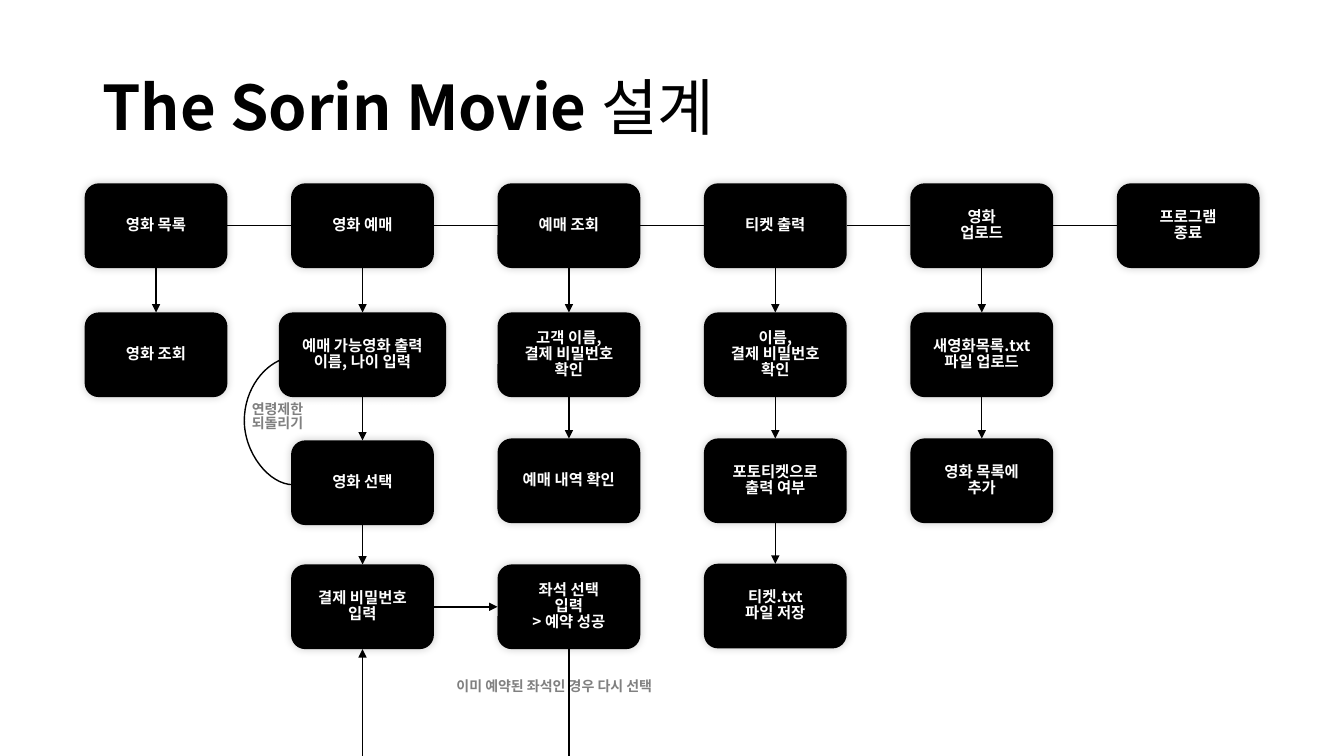
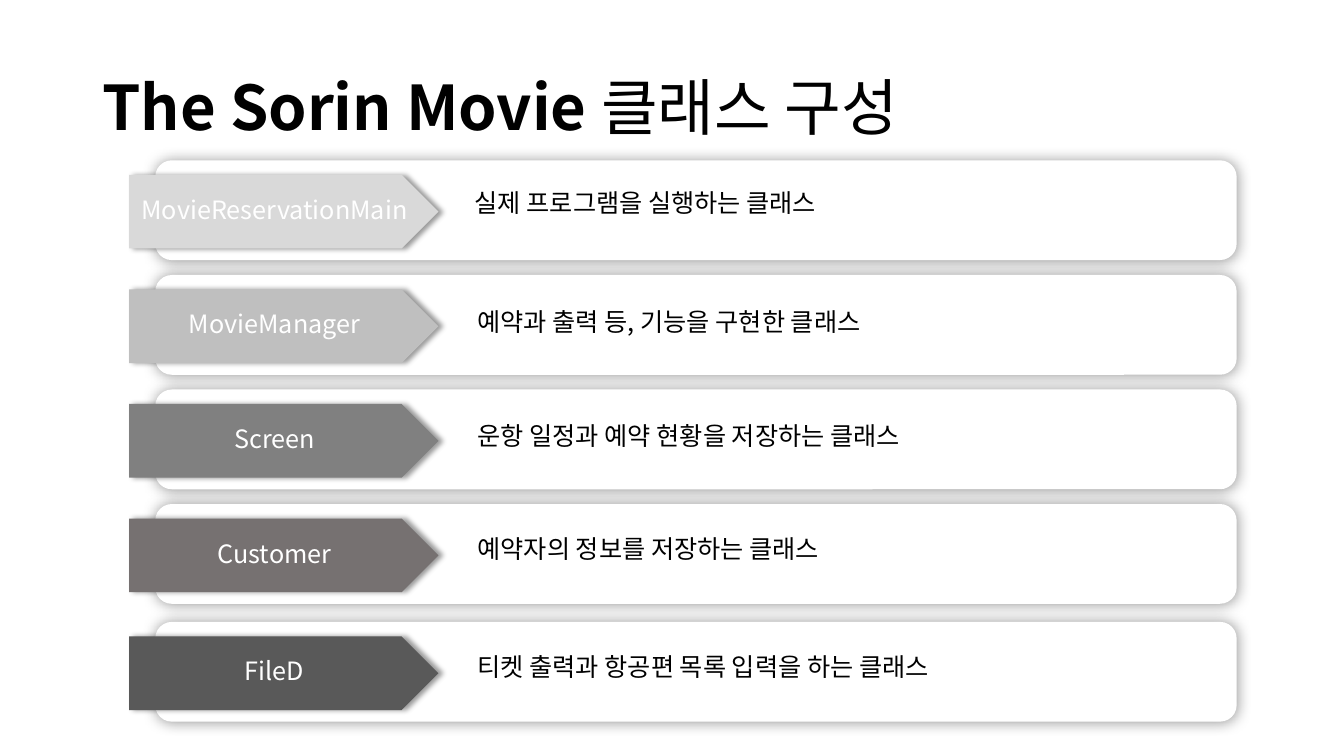
from dataclasses import dataclass

from lxml.etree import SubElement
from pptx import Presentation
from pptx.dml.color import RGBColor
from pptx.enum.shapes import MSO_CONNECTOR, MSO_SHAPE
from pptx.enum.text import MSO_ANCHOR, PP_ALIGN
from pptx.oxml.ns import qn
from pptx.util import Pt

FLOW = MSO_SHAPE.FLOWCHART_ALTERNATE_PROCESS
ROUND = MSO_SHAPE.ROUNDED_RECTANGLE
ARROW = MSO_SHAPE.PENTAGON
LINE = MSO_CONNECTOR.STRAIGHT
CURVE = MSO_CONNECTOR.CURVE
LEFT = PP_ALIGN.LEFT
CENTER = PP_ALIGN.CENTER
MIDDLE = MSO_ANCHOR.MIDDLE
TOP = MSO_ANCHOR.TOP

FONT = "Noto Sans CJK KR"
BLACK = "000000"
WHITE = "FFFFFF"
GRAY = "808080"
BRAND = "The Sorin Movie"
WIDTH, HEIGHT = 960, 540
BOX_W, BOX_H = 102, 60.5
BOX_X, PITCH = 60.5, 147.45
SITE_TOP, SITE_LEFT, SITE_END, SITE_RIGHT = range(4)


@dataclass
class Style:
    size: float
    color: str
    bold: bool = False
    align: PP_ALIGN = LEFT
    space: float = 0.85


@dataclass
class Shade:
    alpha: int
    blur: float
    dist: float = 0
    angle: int = 0


@dataclass
class Box:
    top: float
    text: str
    width: float = BOX_W


@dataclass
class Row:
    top: float
    name: str
    fill: str
    note: str
    left: float
    drop: float


TITLE = Style(44, BLACK, True, space=0.9)
NODE = Style(11, WHITE, True, CENTER)
LABEL = Style(10, GRAY, True)
NAME = Style(18, WHITE, align=CENTER)
NOTE = Style(18, BLACK)

SOFT = Shade(20, 6, angle=315)
GLOW = Shade(40, 10)
CAST = Shade(40, 4, 3)

COLUMNS = [
    [Box(131, "영화 목록"), Box(223.2, "영화 조회")],
    [
        Box(131, "영화 예매"),
        Box(223.2, "예매 가능영화 출력\n이름, 나이 입력", 119.5),
        Box(314.6, "영화 선택"),
        Box(403.2, "결제 비밀번호\n입력"),
    ],
    [
        Box(131, "예매 조회"),
        Box(223.2, "고객 이름,\n결제 비밀번호\n확인"),
        Box(313.2, "예매 내역 확인"),
    ],
    [
        Box(131, "티켓 출력"),
        Box(223.2, "이름,\n결제 비밀번호\n확인"),
        Box(313.2, "포토티켓으로\n출력 여부"),
        Box(402.7, "티켓.txt\n파일 저장"),
    ],
    [
        Box(131, "영화\n업로드"),
        Box(223.2, "새영화목록.txt\n파일 업로드"),
        Box(313.2, "영화 목록에\n추가"),
    ],
    [Box(131, "프로그램\n종료")],
]
SEAT = Box(403.2, "좌석 선택\n입력\n> 예약 성공")

ROWS = [
    Row(114.5, "MovieReservationMain", "D9D9D9", "실제 프로그램을 실행하는 클래스", 332, 19.4),
    Row(196.4, "MovieManager", "BFBFBF", "예약과 출력 등, 기능을 구현한 클래스", 334, 22.4),
    Row(278.2, "Screen", GRAY, "운항 일정과 예약 현황을 저장하는 클래스", 334, 22),
    Row(360, "Customer", "767171", "예약자의 정보를 저장하는 클래스", 334, 21),
    Row(444.2, "FileD", "595959", "티켓 출력과 항공편 목록 입력을 하는 클래스", 334, 21),
]


def tint(code: str) -> RGBColor:
    return RGBColor.from_string(code)


def format_run(run, style: Style, bold: bool) -> None:
    run.font.size = Pt(style.size)
    run.font.bold = bold
    run.font.name = FONT
    run.font.color.rgb = tint(style.color)
    SubElement(run._r.get_or_add_rPr(), qn("a:ea"), typeface=FONT)


def format_text(frame, style: Style) -> None:
    for para in frame.paragraphs:
        para.alignment = style.align
        para.line_spacing = style.space
        for run in para.runs:
            format_run(run, style, style.bold)


def add_shade(shape, shade: Shade) -> None:
    shape.shadow.inherit = False
    effect = shape.element.spPr.find(qn("a:effectLst"))
    outer = SubElement(
        effect, qn("a:outerShdw"), blurRad=str(Pt(shade.blur)),
        dist=str(Pt(shade.dist)), dir=str(shade.angle * 60000),
        algn="ctr", rotWithShape="0",
    )
    color = SubElement(outer, qn("a:srgbClr"), val=BLACK)
    SubElement(color, qn("a:alpha"), val=str(shade.alpha * 1000))


def add_block(slide, kind, left: float, top: float, width: float,
              height: float, fill: str, shade: Shade):
    shape = slide.shapes.add_shape(kind, Pt(left), Pt(top), Pt(width), Pt(height))
    shape.fill.solid()
    shape.fill.fore_color.rgb = tint(fill)
    shape.line.fill.background()
    add_shade(shape, shade)
    return shape


def fill_block(shape, text: str, style: Style) -> None:
    frame = shape.text_frame
    frame.text = text
    frame.word_wrap = True
    frame.vertical_anchor = MIDDLE
    format_text(frame, style)


def add_label(slide, left: float, top: float, width: float, height: float,
              text: str, style: Style) -> None:
    frame = slide.shapes.add_textbox(
        Pt(left), Pt(top), Pt(width), Pt(height)).text_frame
    frame.text = text
    frame.word_wrap = True
    frame.vertical_anchor = TOP
    format_text(frame, style)


def add_line(slide, kind, x1: float, y1: float, x2: float, y2: float,
             head: bool):
    line = slide.shapes.add_connector(kind, Pt(x1), Pt(y1), Pt(x2), Pt(y2))
    line.line.width = Pt(1)
    line.line.color.rgb = tint(BLACK)
    props = line.element.spPr
    if head:
        SubElement(props.find(qn("a:ln")), qn("a:tailEnd"), type="triangle")
    SubElement(props, qn("a:effectLst"))
    return line


def link(slide, start, start_site: int, end, end_site: int, head: bool) -> None:
    line = add_line(slide, LINE, 0, 0, 0, 0, head)
    line.begin_connect(start, start_site)
    line.end_connect(end, end_site)


def add_page(deck, topic: str):
    slide = deck.slides.add_slide(deck.slide_layouts[5])
    title = slide.shapes.title
    title.left, title.top = Pt(66), Pt(26.6)
    title.width, title.height = Pt(828), Pt(104.4)
    frame = title.text_frame
    frame.word_wrap = True
    frame.vertical_anchor = MIDDLE
    para = frame.paragraphs[0]
    para.text = BRAND
    para.add_run().text = " " + topic
    format_text(frame, TITLE)
    para.runs[1].font.bold = False
    return slide


def add_node(slide, column: int, box: Box):
    left = BOX_X + column * PITCH + (BOX_W - box.width) / 2
    shape = add_block(slide, FLOW, left, box.top, box.width, BOX_H, BLACK, SOFT)
    fill_block(shape, box.text, NODE)
    return shape


def draw_flow(deck) -> None:
    slide = add_page(deck, "설계")
    nodes = [[add_node(slide, i, box) for box in column]
             for i, column in enumerate(COLUMNS)]
    seat = add_node(slide, 2, SEAT)
    for column in nodes:
        for upper, lower in zip(column, column[1:]):
            link(slide, upper, SITE_END, lower, SITE_TOP, True)
    for left, right in zip(nodes, nodes[1:]):
        link(slide, left[0], SITE_RIGHT, right[0], SITE_LEFT, False)
    link(slide, nodes[1][3], SITE_RIGHT, seat, SITE_LEFT, True)

    loop = add_line(slide, CURVE, 209.5, 346.3, 210.5, 254.9, True)
    guides = loop.element.spPr.find(qn("a:prstGeom")).find(qn("a:avLst"))
    SubElement(guides, qn("a:gd"), name="adj1", fmla="val -3530000")

    add_label(slide, 172.8, 284.4, 74.2, 31.5, "연령제한\n되돌리기", LABEL)
    add_label(slide, 319, 482.4, 175, 19, "이미 예약된 좌석인 경우 다시 선택", LABEL)
    pay_x, seat_x = (BOX_X + i * PITCH + BOX_W / 2 for i in (1, 2))
    base = SEAT.top + BOX_H
    add_line(slide, LINE, seat_x, base, seat_x, HEIGHT, False)
    add_line(slide, LINE, pay_x, HEIGHT, pay_x, base, True)


def draw_list(deck) -> None:
    slide = add_page(deck, "클래스 구성")
    for row in ROWS:
        add_block(slide, ROUND, 110.9, row.top, 772.5, 71.3, WHITE, GLOW)
        tag = add_block(slide, ARROW, 92.2, row.top + 10.4, 221, 52.6,
                        row.fill, CAST)
        fill_block(tag, row.name, NAME)
        add_label(slide, row.left, row.top + row.drop, 534, 28.8, row.note, NOTE)


def main() -> None:
    deck = Presentation()
    deck.slide_width, deck.slide_height = Pt(WIDTH), Pt(HEIGHT)
    draw_flow(deck)
    draw_list(deck)
    deck.save("out.pptx")


if __name__ == "__main__":
    main()
